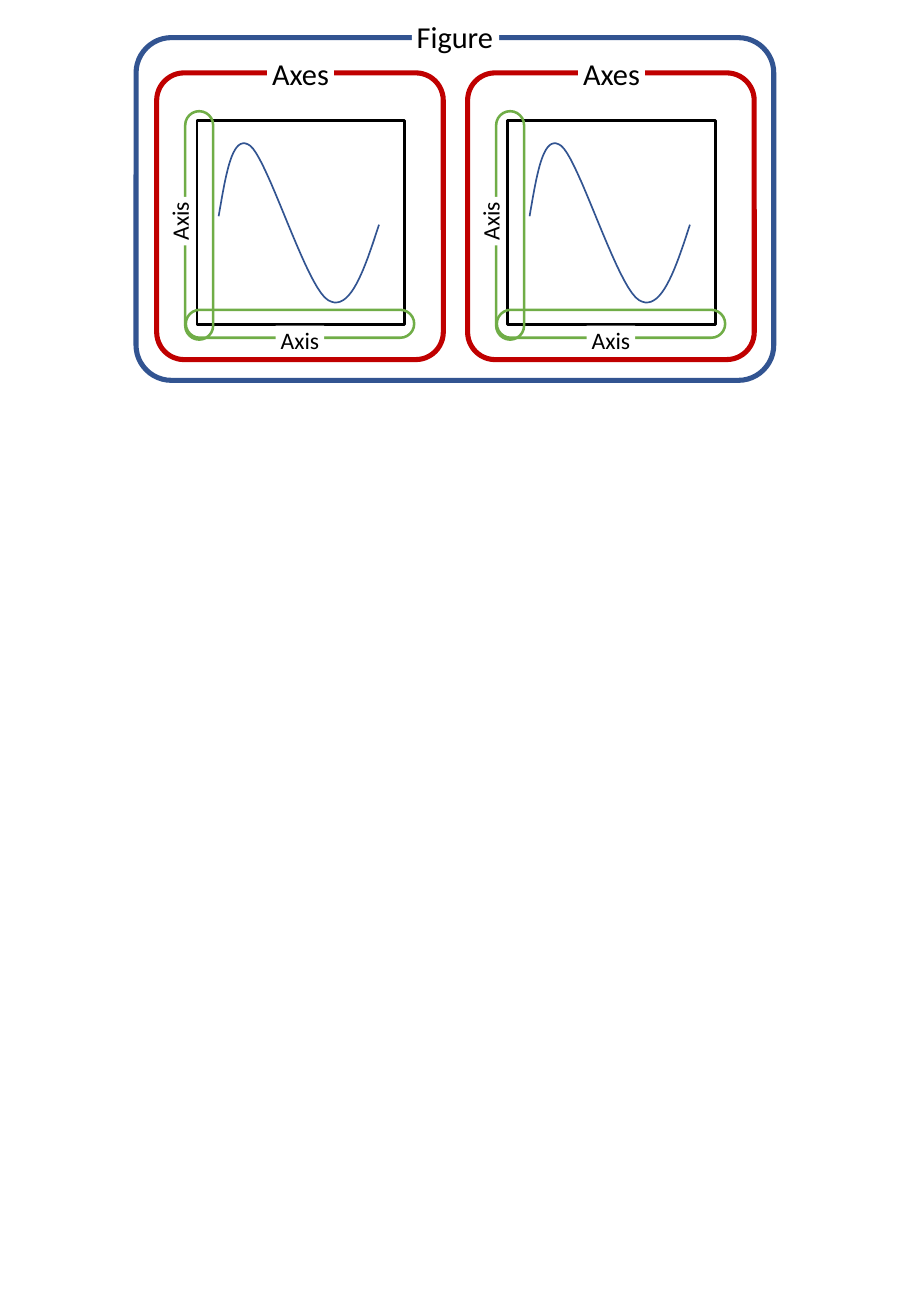
import pptx
import pptx.util
import pptx.dml.color
import pptx.enum.shapes
import pptx.enum.text

Inches = pptx.util.Inches
SHAPE = pptx.enum.shapes.MSO_SHAPE
ALIGN = pptx.enum.text.PP_ALIGN

BLUE, RED, GREEN, BLACK, WHITE = "325491", "C00000", "70AD47", "000000", "FFFFFF"
CURVE_START = (1.8, 1.78)
CURVE = [
    [(1.86, 1.44), (1.91, 1.09), (2.06, 1.2)],
    [(2.21, 1.32), (2.52, 2.36), (2.7, 2.47)],
    [(2.88, 2.58), (3, 2.22), (3.12, 1.85)],
]


def rgb(value):
    return pptx.dml.color.RGBColor.from_string(value)


def write(sp, text, size=18, font="Calibri", color=BLACK, align=ALIGN.LEFT, pad=0.04):
    tf = sp.text_frame
    tf.word_wrap = False
    tf.auto_size = pptx.enum.text.MSO_AUTO_SIZE.SHAPE_TO_FIT_TEXT
    tf.vertical_anchor = pptx.enum.text.MSO_ANCHOR.TOP
    tf.margin_left = tf.margin_right = Inches(0.04)
    tf.margin_top = tf.margin_bottom = Inches(pad)
    p = tf.paragraphs[0]
    p.alignment = align
    r = p.add_run()
    r.text = text
    r.font.size = pptx.util.Pt(size)
    r.font.name = font
    r.font.color.rgb = rgb(color)


def bezier_points(start, segments, steps=20):
    points = [start]
    for c1, c2, end in segments:
        corners = (points[-1], c1, c2, end)
        for i in range(1, steps + 1):
            t = i / steps
            weights = ((1 - t) ** 3, 3 * t * (1 - t) ** 2, 3 * t * t * (1 - t), t ** 3)
            points.append(tuple(sum(w * c[k] for w, c in zip(weights, corners)) for k in (0, 1)))
    return points


class Diagram:
    def __init__(self, s):
        self.s = s
        self.shapes = s.shapes

    def start_group(self):
        self.shapes = self.s.shapes.add_group_shape().shapes

    def outline(self, sp, color, width):
        sp.shadow.inherit = False
        sp.fill.background()
        sp.line.color.rgb = rgb(color)
        sp.line.width = pptx.util.Pt(width)

    def frame(self, x, y, w, h, color, width, radius, rotation=0):
        sp = self.shapes.add_shape(SHAPE.ROUNDED_RECTANGLE, *map(Inches, (x, y, w, h)))
        sp.adjustments[0] = radius
        sp.rotation = rotation
        self.outline(sp, color, width)

    def label(self, x, y, w, h, text, rotation=0, **style):
        sp = self.shapes.add_shape(SHAPE.RECTANGLE, *map(Inches, (x, y, w, h)))
        sp.shadow.inherit = False
        sp.fill.solid()
        sp.fill.fore_color.rgb = rgb(WHITE)
        sp.line.fill.background()
        sp.rotation = rotation
        write(sp, text, **style)

    def curve(self, dx, color, width):
        points = [(Inches(x + dx), Inches(y)) for x, y in bezier_points(CURVE_START, CURVE)]
        builder = self.shapes.build_freeform(*points[0])
        builder.add_line_segments(points[1:], close=False)
        self.outline(builder.convert_to_shape(), color, width)

    def axis(self, x, y, label_x, label_y, rotation):
        self.frame(x, y, 1.88, 0.23, GREEN, 1.5, 0.5, rotation)
        self.label(label_x, label_y, 0.4, 0.24, "Axis", rotation, size=14, align=ALIGN.CENTER, pad=0)

    def axes(self, dx):
        self.start_group()
        self.frame(1.29 + dx, 0.6, 2.36, 2.36, RED, 3, 0.096)
        self.label(2.2 + dx, 0.41, 0.55, 0.38, "Axes")
        self.frame(1.62 + dx, 0.99, 1.71, 1.68, BLACK, 1.5, 0)
        self.curve(dx, BLUE, 1)
        self.axis(1.53 + dx, 2.55, 2.27 + dx, 2.68, 0)
        self.axis(0.7 + dx, 1.74, 1.28 + dx, 1.7, 270)


def main():
    prs = pptx.Presentation()
    prs.slide_width, prs.slide_height = Inches(7.5), Inches(10.83)
    d = Diagram(prs.slides.add_slide(prs.slide_layouts[6]))
    d.frame(1.12, 0.31, 5.25, 2.82, BLUE, 3, 0.103)
    d.label(3.39, 0.11, 0.72, 0.38, "Figure")
    for column in range(2):
        d.axes(column * 2.56)
    prs.save("out.pptx")


if __name__ == "__main__":
    main()
